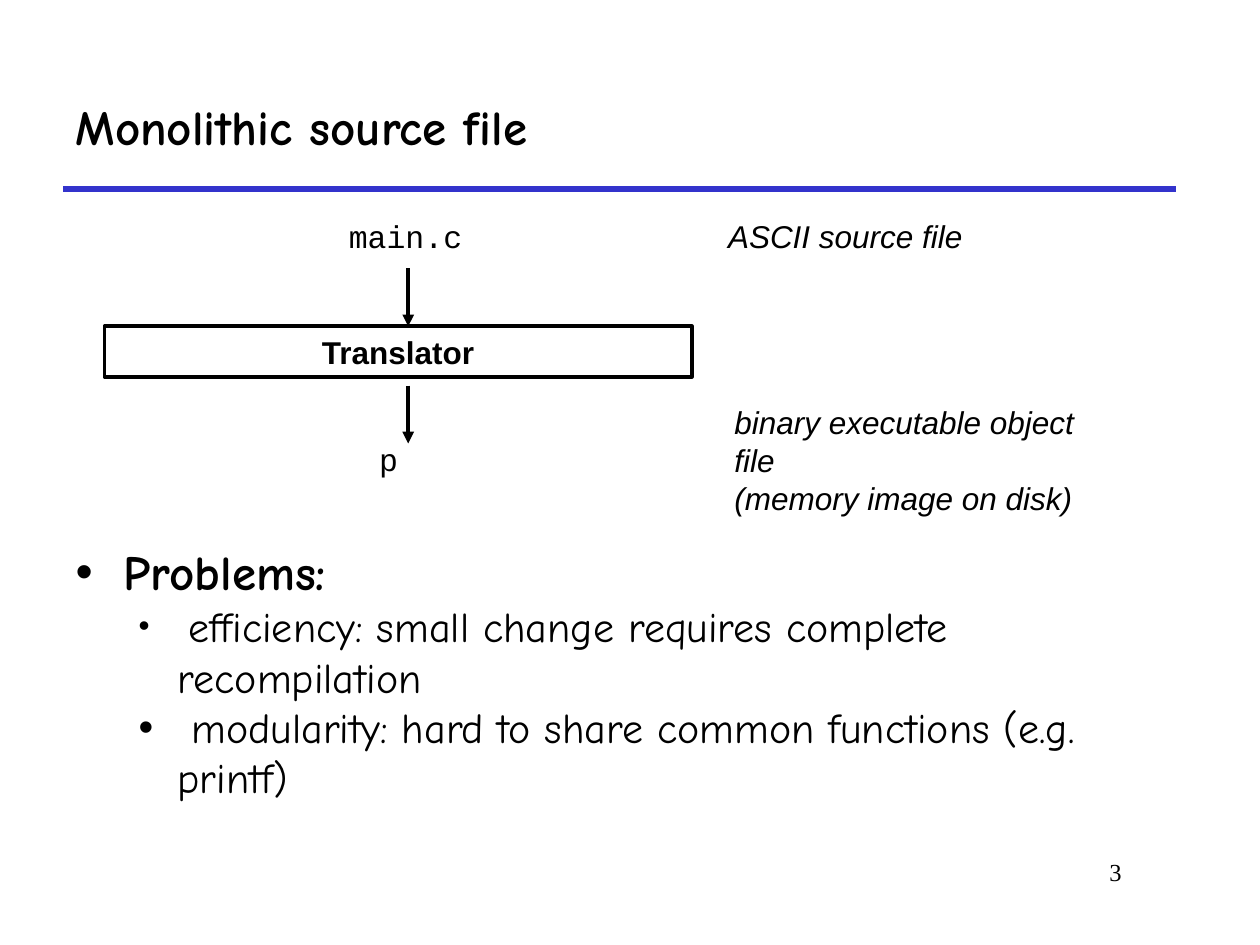
"""Build the slide "Monolithic source file": a translation diagram above a list of problems."""
from lxml import etree
from pptx import Presentation
from pptx.dml.color import RGBColor
from pptx.enum.shapes import MSO_CONNECTOR, MSO_SHAPE
from pptx.enum.text import MSO_ANCHOR, MSO_AUTO_SIZE, PP_ALIGN
from pptx.oxml.ns import qn
from pptx.util import Inches, Pt

STRAIGHT, RECTANGLE = MSO_CONNECTOR.STRAIGHT, MSO_SHAPE.RECTANGLE
LEFT, CENTER, RIGHT = PP_ALIGN.LEFT, PP_ALIGN.CENTER, PP_ALIGN.RIGHT
MIDDLE, TOP = MSO_ANCHOR.MIDDLE, MSO_ANCHOR.TOP
NO_FIT, GROW = MSO_AUTO_SIZE.NONE, MSO_AUTO_SIZE.SHAPE_TO_FIT_TEXT

THEME = {
    "ink": RGBColor(0, 0, 0), "rule": RGBColor(0x33, 0x33, 0xCC),
    "heading": "Comic Neue", "label": "Arial", "code": "Courier New", "number": "Times New Roman",
    "heading_size": 28, "list_size": 24, "label_size": 18, "number_size": 14,
    "rule_width": 3, "line_width": 2.25,
}
MARGIN, CONTENT_WIDTH = 0.5, 8.83
ROW = 0.4
ARROW_X, ARROW_LENGTH = 3.24, 0.46
BOX_LEFT, BOX_TOP, BOX_WIDTH = 0.83, 2.59, 4.66


def write(paragraph, text, font="label", size="label_size", bold=False, italic=False, align=LEFT):
    """Add a formatted run to a paragraph."""
    paragraph.alignment = align
    run = paragraph.add_run()
    run.text = text
    run.font.name = THEME[font]
    run.font.size = Pt(THEME[size])
    run.font.bold = bold
    run.font.italic = italic
    run.font.color.rgb = THEME["ink"]


def draw_line(slide, start, end, color="ink", width="line_width", arrow=False):
    """Draw a straight line, with an arrowhead at its end if asked."""
    line = slide.shapes.add_connector(STRAIGHT, *[Inches(value) for value in start + end])
    line.line.color.rgb = THEME[color]
    line.line.width = Pt(THEME[width])
    if arrow:
        etree.SubElement(line.line._get_or_add_ln(), qn("a:tailEnd"), type="triangle")
    etree.SubElement(line._element.spPr, qn("a:effectLst"))


presentation = Presentation()
presentation.slide_width, presentation.slide_height = Inches(10), Inches(7.5)
slide = presentation.slides.add_slide(presentation.slide_layouts[1])
title, body = slide.placeholders

draw_line(slide, (MARGIN, 1.5), (MARGIN + CONTENT_WIDTH, 1.5), "rule", "rule_width")

for placeholder, top, width, height, anchor in (
    (title, 0.5, CONTENT_WIDTH, 1, MIDDLE),
    (body, 4.25, 9.08, 2.33, TOP),
):
    placeholder.left, placeholder.top = Inches(MARGIN), Inches(top)
    placeholder.width, placeholder.height = Inches(width), Inches(height)
    placeholder.text_frame.auto_size = NO_FIT
    placeholder.text_frame.vertical_anchor = anchor
write(title.text_frame.paragraphs[0], "Monolithic source file", "heading", "heading_size", bold=True)

problems = (
    (0, 0.38, 0.38, (("Problems:", "heading_size"),)),
    (1, 0.81, 0.31, ((" ", "label_size"),
                     ("efficiency: small change requires complete recompilation", "list_size"))),
    (1, 0.81, 0.31, ((" modularity: hard to share common functions (e.g. printf)", "list_size"),)),
)
for index, (level, margin, hanging, runs) in enumerate(problems):
    paragraph = body.text_frame.add_paragraph() if index else body.text_frame.paragraphs[0]
    paragraph.level = level
    paragraph.space_before = Pt(0)
    for text, size in runs:
        write(paragraph, text, "heading", size, bold=level == 0)
    properties = paragraph._p.get_or_add_pPr()
    properties.set("marL", str(Inches(margin)))
    properties.set("indent", str(-Inches(hanging)))
    etree.SubElement(properties, qn("a:buChar"), char="•")

for arrow_top in (BOX_TOP - ARROW_LENGTH, 3.06):
    draw_line(slide, (ARROW_X, arrow_top), (ARROW_X, arrow_top + ARROW_LENGTH), arrow=True)

translator = slide.shapes.add_shape(
    RECTANGLE, Inches(BOX_LEFT), Inches(BOX_TOP), Inches(BOX_WIDTH), Inches(ROW))
translator.shadow.inherit = False
translator.fill.background()
translator.line.color.rgb = THEME["ink"]
translator.line.width = Pt(THEME["line_width"])
write(translator.text_frame.paragraphs[0], "Translator", bold=True, align=CENTER)

labels = (
    (2.67, 1.67, 1.1, ("main.c",), {"font": "code"}),
    (2.91, 3.44, 0.35, ("p",), {"font": "code"}),
    (5.68, 1.67, 2.06, ("ASCII source file",), {"italic": True}),
    (5.73, 3.15, 3.28, ("binary executable object file", "(memory image on disk)"), {"italic": True}),
)
for left, top, width, lines, style in labels:
    height = ROW + 0.3 * (len(lines) - 1)
    label = slide.shapes.add_textbox(Inches(left), Inches(top), Inches(width), Inches(height))
    frame = label.text_frame
    frame.word_wrap = False
    frame.auto_size = GROW
    for index, text in enumerate(lines):
        write(frame.add_paragraph() if index else frame.paragraphs[0], text, **style)

number = slide.shapes.add_textbox(Inches(7.58), Inches(6.75), Inches(1.42), Inches(0.5))
number.text_frame.word_wrap = True
write(number.text_frame.paragraphs[0], "3", "number", "number_size", align=RIGHT)

presentation.save("out.pptx")
